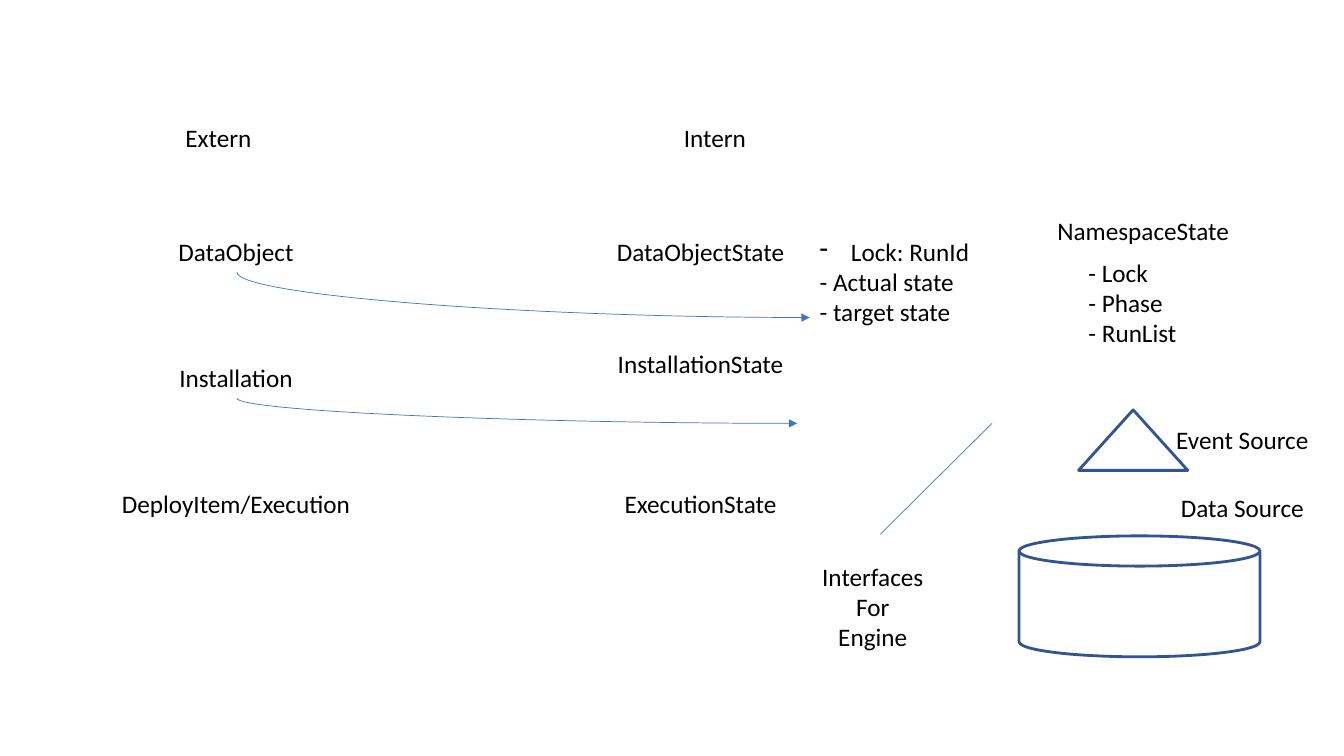
from lxml import etree
from pptx import Presentation, util as u
from pptx.dml.color import RGBColor
from pptx.enum import shapes, text
from pptx.oxml.ns import qn

COLORS = {"ink": "000000", "arrow": "4472C4", "outline": "325491"}
COLUMNS, ROWS = 80, 45


class StateSlide:
    """Draws elements on a grid of 80 columns by 45 rows in one shared style."""

    font, size = "Calibri", 18

    def __init__(self, deck):
        self.slide = deck.slides.add_slide(deck.slide_layouts[6])
        self.column = deck.slide_width / COLUMNS
        self.row = deck.slide_height / ROWS

    def place(self, left, top, width, height):
        return (round(left * self.column), round(top * self.row),
                round(width * self.column), round(height * self.row))

    def color(self, name):
        return RGBColor.from_string(COLORS[name])

    def add_lines(self, left, top, width, lines, align):
        height = 0.6 + 1.82 * len(lines)
        box = self.slide.shapes.add_textbox(*self.place(left, top, width, height))
        frame = box.text_frame
        frame.word_wrap = False
        frame.auto_size = text.MSO_AUTO_SIZE.SHAPE_TO_FIT_TEXT
        for index, line in enumerate(lines):
            para = frame.paragraphs[0] if index == 0 else frame.add_paragraph()
            para.alignment = align
            span = para.add_run()
            span.text = line
            span.font.name, span.font.size = self.font, u.Pt(self.size)
            span.font.color.rgb = self.color("ink")
        return box

    def label(self, center, top, width, *lines):
        return self.add_lines(center - width / 2, top, width, lines, text.PP_ALIGN.CENTER)

    def listing(self, left, top, width, *lines):
        return self.add_lines(left, top, width, lines, text.PP_ALIGN.LEFT)

    def bullet(self, para, mark, indent):
        props = para._p.get_or_add_pPr()
        props.set("marL", str(u.Inches(indent)))
        props.set("indent", str(-u.Inches(indent)))
        etree.SubElement(props, qn("a:buFontTx"))
        etree.SubElement(props, qn("a:buChar")).set("char", mark)

    def outline(self, kind, left, top, width, height):
        shape = self.slide.shapes.add_shape(kind, *self.place(left, top, width, height))
        shape.shadow.inherit = False
        shape.fill.background()
        shape.line.color.rgb = self.color("outline")
        shape.line.width = u.Pt(2)

    def connect(self, kind, *ends):
        link = self.slide.shapes.add_connector(kind, *ends)
        link.line.color.rgb = self.color("arrow")
        link.line.width = u.Pt(0.5)
        etree.SubElement(link._element.spPr, qn("a:effectLst"))
        return link

    def line(self, left, top, right, bottom):
        ends = self.place(left, top, right, bottom)
        self.connect(shapes.MSO_CONNECTOR.STRAIGHT, *ends)

    def curve(self, left, top, right, bottom):
        x, y, across, down = self.place(left, top, right - left, bottom - top)
        turned_x = x + (across - down) // 2
        turned_y = y + (down - across) // 2
        link = self.connect(shapes.MSO_CONNECTOR.CURVE, turned_x + down, turned_y,
                            turned_x, turned_y + across)
        props = link._element.spPr
        props.find(qn("a:xfrm")).set("rot", str(270 * 60000))
        props.find(qn("a:prstGeom")).set("prst", "curvedConnector2")
        etree.SubElement(props.find(qn("a:ln")), qn("a:tailEnd")).set("type", "triangle")


def main():
    deck = Presentation()
    deck.slide_width, deck.slide_height = u.Inches(13.33), u.Inches(7.5)
    page = StateSlide(deck)

    extern, intern, source = 14.05, 41.7, 73.95
    for center, top, width, name in [
        (13, 7, 5.2, "Extern"),
        (42.55, 7, 4.9, "Intern"),
        (extern, 13.75, 8.2, "DataObject"),
        (extern, 21.3, 8, "Installation"),
        (extern, 28.8, 15, "DeployItem/Execution"),
        (intern, 13.75, 11.3, "DataObjectState"),
        (intern, 20.45, 11.5, "InstallationState"),
        (intern, 28.8, 10.3, "ExecutionState"),
        (68.05, 12.55, 11.5, "NamespaceState"),
        (source, 24.95, 9.2, "Event Source"),
        (source, 29, 8.6, "Data Source"),
    ]:
        page.label(center, top, width, name)
    page.label(51.95, 33.1, 7.3, "Interfaces", "For", "Engine")

    state = page.listing(48.2, 13.75, 10.2, "Lock: RunId", "- Actual state", "- target state")
    page.bullet(state.text_frame.paragraphs[0], "-", 0.31)
    page.listing(64.2, 15, 6.5, "- Lock", "- Phase", "- RunList")

    page.curve(14.1, 16.2, 48.2, 18.9)
    page.curve(14.1, 23.7, 47.45, 25.2)
    page.line(59.05, 25.2, 52.4, 31.8)

    page.outline(shapes.MSO_SHAPE.CAN, 60.65, 31.9, 14.35, 7.2)
    page.outline(shapes.MSO_SHAPE.ISOSCELES_TRIANGLE, 64.2, 24.4, 6.5, 3.6)

    deck.save("out.pptx")


if __name__ == "__main__":
    main()
